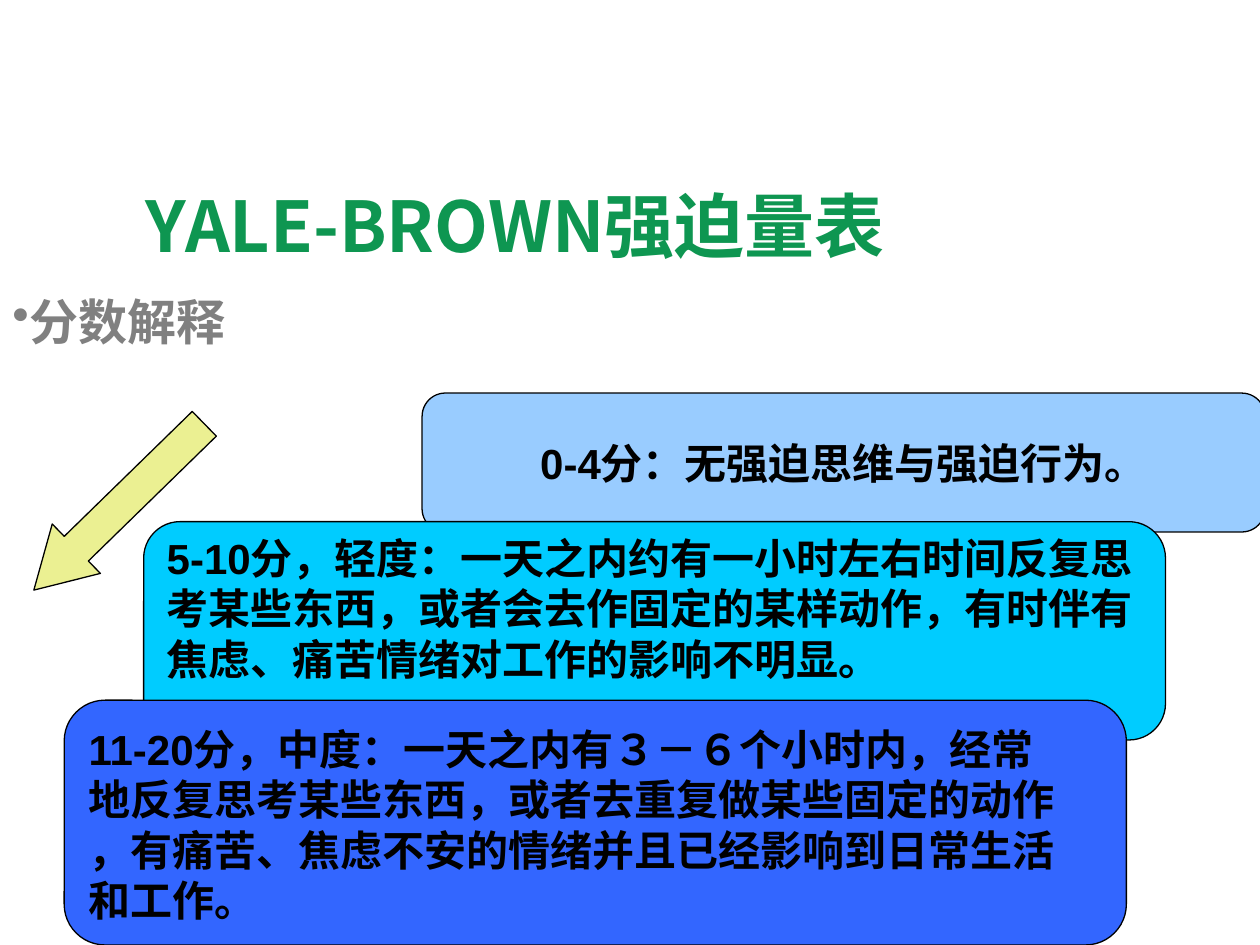
from lxml import etree
from pptx import Presentation, util as u
from pptx.dml.color import RGBColor
from pptx.enum import shapes, text
from pptx.oxml.ns import qn

COLORS = {
    "title": "0E9651", "heading": "808080", "ink": "000000",
    "none": "99CCFF", "mild": "00CCFF", "moderate": "3366FF", "arrow": "EBF092",
}
LATIN, CJK = "Arial", "Noto Sans CJK SC"
WIDTH, HEIGHT = u.Inches(10), u.Inches(7.5)
COLUMN, ROW = WIDTH / 100, HEIGHT / 100
LEFT, CENTER = text.PP_ALIGN.LEFT, text.PP_ALIGN.CENTER
TOP, MIDDLE = text.MSO_ANCHOR.TOP, text.MSO_ANCHOR.MIDDLE

# Each card: box in columns and rows, fill, lines, format
CARDS = [
    ((33.5, 41.6, 66.9, 14.7), "none", ["0-4分：无强迫思维与强迫行为。"],
     dict(align=CENTER, anchor=MIDDLE)),
    ((11.4, 55.2, 81.1, 23.1), "mild",
     ["5-10分，轻度：一天之内约有一小时左右时间反复思",
      "考某些东西，或者会去作固定的某样动作，有时伴有",
      "焦虑、痛苦情绪对工作的影响不明显。"],
     dict(inset_top=0)),
    ((5.1, 74.1, 84.3, 25.9), "moderate",
     ["11-20分，中度：一天之内有３－６个小时内，经常",
      "地反复思考某些东西，或者去重复做某些固定的动作",
      "，有痛苦、焦虑不安的情绪并且已经影响到日常生活",
      "和工作。"],
     dict(inset_top=0.09)),
]


def color(name):
    return RGBColor.from_string(COLORS[name])


def place(box):
    """Turn columns and rows into slide lengths."""
    left, top, width, height = box
    return [round(n) for n in (left * COLUMN, top * ROW, width * COLUMN, height * ROW)]


def add_bullet(para):
    properties = para._p.get_or_add_pPr()
    properties.set("marL", str(u.Inches(0.02)))
    properties.set("indent", str(-u.Inches(0.02)))
    etree.SubElement(properties, qn("a:buChar"), char="•")


def write(shape, lines, size=24, font=LATIN, ink="ink", align=LEFT, anchor=TOP,
          inset_top=0.05, wrap=False, bullet=False, spacing=None):
    frame = shape.text_frame
    frame.word_wrap = wrap
    frame.vertical_anchor = anchor
    frame.margin_top = u.Inches(inset_top)
    for index, line in enumerate(lines):
        para = frame.add_paragraph() if index else frame.paragraphs[0]
        para.alignment = align
        if spacing:
            para.line_spacing = spacing
        if bullet:
            add_bullet(para)
        span = para.add_run()
        span.text = line
        span.font.size = u.Pt(size)
        span.font.bold = True
        span.font.name = font
        span.font.color.rgb = color(ink)
        etree.SubElement(span._r.get_or_add_rPr(), qn("a:ea"), typeface=CJK)


def add_outlined(page, kind, box, fill):
    shape = page.shapes.add_shape(kind, *place(box))
    shape.shadow.inherit = False
    shape.fill.solid()
    shape.fill.fore_color.rgb = color(fill)
    shape.line.color.rgb = color("ink")
    shape.line.width = u.Pt(0.75)
    return shape


def add_title(page, box):
    write(page.shapes.add_textbox(*place(box)), ["YALE-BROWN强迫量表"], size=40,
          font=CJK, ink="title", anchor=MIDDLE, wrap=True)


def add_heading(page, box):
    write(page.shapes.add_textbox(*place(box)), ["分数解释"], size=28, font=CJK,
          ink="heading", wrap=True, bullet=True, spacing=1.2)


def add_card(page, box, fill, lines, style):
    card = add_outlined(page, shapes.MSO_SHAPE.ROUNDED_RECTANGLE, box, fill)
    card.adjustments[0] = 0.167
    write(card, lines, **style)


def add_severity_arrow(page, box):
    arrow = add_outlined(page, shapes.MSO_SHAPE.LEFT_ARROW, box, "arrow")
    arrow.adjustments[0] = 0.5
    arrow.adjustments[1] = 0.86
    arrow.rotation = 315.7


def main():
    deck = Presentation()
    deck.slide_width, deck.slide_height = WIDTH, HEIGHT
    page = deck.slides.add_slide(deck.slide_layouts[6])
    add_title(page, (10.6, 18.5, 84.4, 10.5))
    add_heading(page, (0, 28.9, 88.1, 60.8))
    for card in CARDS:
        add_card(page, *card)
    add_severity_arrow(page, (0, 50, 18.9, 7.3))
    deck.save("out.pptx")


if __name__ == "__main__":
    main()
